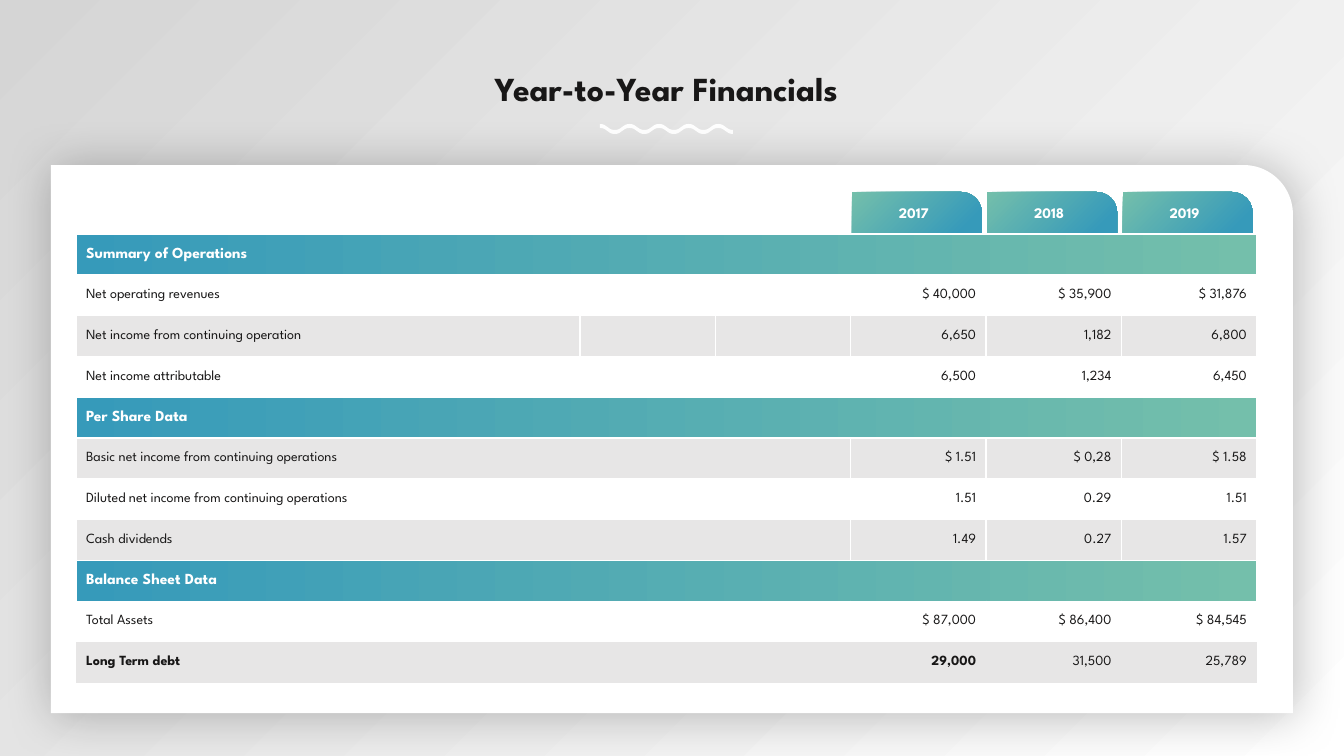
from lxml.etree import SubElement
from pptx import Presentation
from pptx.dml.color import RGBColor
from pptx.enum.shapes import MSO_SHAPE as SHAPE
from pptx.enum.text import MSO_ANCHOR as ANCHOR, PP_ALIGN as ALIGN
from pptx.oxml import parse_xml
from pptx.oxml.ns import nsdecls, qn
from pptx.util import Pt

TITLE = "Year-to-Year Financials"
YEARS = ["2017", "2018", "2019"]
SECTIONS = [
    ("Summary of Operations", [
        ("Net operating revenues", "$ 40,000", "$ 35,900", "$ 31,876"),
        ("Net income from continuing operation", "6,650", "1,182", "6,800"),
        ("Net income attributable", "6,500", "1,234", "6,450"),
    ]),
    ("Per Share Data", [
        ("Basic net income from continuing operations", "$ 1.51", "$ 0,28", "$ 1.58"),
        ("Diluted net income from continuing operations", "1.51", "0.29", "1.51"),
        ("Cash dividends", "1.49", "0.27", "1.57"),
    ]),
    ("Balance Sheet Data", [
        ("Total Assets", "$ 87,000", "$ 86,400", "$ 84,545"),
        ("Long Term debt", "29,000", "31,500", "25,789"),
    ]),
]
UNMERGED_LABEL = "Net income from continuing operation"
BOLD_CELLS = {"Long Term debt", "29,000"}

COLORS = {"ink": "181717", "white": "FFFFFF", "band": "E7E6E6", "blue": "369ABA",
          "green": "74BFAB", "backdrop": "D5D5D5", "shadow": "000000"}
FONT = "League Spartan"
SLIDE_W, SLIDE_H = 1344, 756
PX = 12192000 / SLIDE_W
TABLE_X, TABLE_Y, TABLE_W, TABLE_H = 76, 234, 1181, 449
COLUMNS = 6
LABEL_W = 504
YEAR_W = (TABLE_W - LABEL_W) / (COLUMNS - 1)
FIRST_YEAR = COLUMNS - len(YEARS)
TAB_W, TAB_H = 130, 41


def px(*lengths):
    return [round(length * PX) for length in lengths]


def rgb(name):
    return RGBColor.from_string(COLORS[name])


def paint(fill, color):
    fill.solid()
    fill.fore_color.rgb = rgb(color)


def blend(fill, start, end, angle=0, end_position=1):
    fill.gradient()
    fill.gradient_angle = angle
    for stop, color, position in zip(fill.gradient_stops, (start, end), (0, end_position)):
        stop.color.rgb = rgb(color)
        stop.position = position


def write(frame, text, size, color="ink", bold=False, align=ALIGN.LEFT):
    frame.text = text
    line = frame.paragraphs[0]
    line.alignment = align
    for run in line.runs:
        run.font.name = FONT
        run.font.size = Pt(size)
        run.font.bold = bold
        run.font.color.rgb = rgb(color)


def add_card(slide, box, corner):
    card = slide.shapes.add_shape(SHAPE.ROUND_1_RECTANGLE, *px(*box))
    card.adjustments[0] = corner
    card.line.fill.background()
    card.shadow.inherit = False
    return card


def add_soft_shadow(shape):
    effects = shape.element.spPr.find(qn("a:effectLst"))
    effects.append(parse_xml(
        f'<a:outerShdw {nsdecls("a")} blurRad="{Pt(35)}" dist="{Pt(3)}" dir="2700000" '
        f'algn="tl" rotWithShape="0"><a:srgbClr val="{COLORS["shadow"]}">'
        '<a:alpha val="25000"/></a:srgbClr></a:outerShdw>'))


def bend_lines(shape):
    """Turn each straight segment into a curve that is level at both ends."""
    x, y = (int(shape.element.find(f".//{qn('a:moveTo')}/{qn('a:pt')}").get(k)) for k in "xy")
    for segment in list(shape.element.iter(qn("a:lnTo"))):
        end = segment.find(qn("a:pt"))
        end_x, end_y = int(end.get("x")), int(end.get("y"))
        middle = (x + end_x) // 2
        curve = parse_xml(f'<a:cubicBezTo {nsdecls("a")}/>')
        for point_x, point_y in ((middle, y), (middle, end_y), (end_x, end_y)):
            SubElement(curve, qn("a:pt"), x=str(point_x), y=str(point_y))
        segment.getparent().replace(segment, curve)
        x, y = end_x, end_y


def add_wave(slide, left=600, top=124, width=133, swing=6, thickness=4, half_waves=9):
    crest = [(left + width * i / half_waves, top + swing * (i % 2))
             for i in range(half_waves + 1)]
    trough = [(x, y + thickness) for x, y in reversed(crest)]
    outline = [px(*point) for point in crest + trough]
    builder = slide.shapes.build_freeform(*outline[0])
    builder.add_line_segments(outline[1:], close=True)
    wave = builder.convert_to_shape()
    bend_lines(wave)
    paint(wave.fill, "white")
    wave.line.fill.background()
    wave.shadow.inherit = False


def set_borders(cell, visible):
    """Borders come before the fill in the cell properties."""
    properties = cell._tc.get_or_add_tcPr()
    for index, side in enumerate(("lnL", "lnR", "lnT", "lnB")):
        border = SubElement(properties, qn(f"a:{side}"), w=str(Pt(1)))
        if visible:
            solid = SubElement(border, qn("a:solidFill"))
            SubElement(solid, qn("a:srgbClr"), val=COLORS["white"])
        else:
            SubElement(border, qn("a:noFill"))
        properties.insert(index, border)


def add_financials(slide):
    rows = []
    for heading, entries in SECTIONS:
        rows.append((heading,))
        rows.extend(entries)
    frame = slide.shapes.add_table(len(rows), COLUMNS, *px(TABLE_X, TABLE_Y, TABLE_W, TABLE_H))
    table = frame.table
    table.first_row = table.horz_banding = False
    for index, column in enumerate(table.columns):
        column.width = px(YEAR_W if index else LABEL_W)[0]

    entry_fill = "band"
    for r, (label, *amounts) in enumerate(rows):
        if amounts:
            entry_fill = "white" if entry_fill == "band" else "band"
        for c in range(COLUMNS):
            cell = table.cell(r, c)
            cell.vertical_anchor = ANCHOR.MIDDLE
            cell.margin_top = cell.margin_bottom = 0
            if amounts:
                paint(cell.fill, entry_fill)
            else:
                blend(cell.fill, "blue", "green")
            set_borders(cell, visible=r < len(rows) - 1)
        if not amounts:
            write(table.cell(r, 0).text_frame, label, 11, "white", True)
            table.cell(r, 0).merge(table.cell(r, COLUMNS - 1))
            continue
        write(table.cell(r, 0).text_frame, label, 10, bold=label in BOLD_CELLS)
        if label != UNMERGED_LABEL:
            table.cell(r, 0).merge(table.cell(r, FIRST_YEAR - 1))
        for c, amount in enumerate(amounts, FIRST_YEAR):
            write(table.cell(r, c).text_frame, amount, 10,
                  bold=amount in BOLD_CELLS, align=ALIGN.RIGHT)


def main():
    deck = Presentation()
    deck.slide_width, deck.slide_height = px(SLIDE_W, SLIDE_H)
    slide = deck.slides.add_slide(deck.slide_layouts[6])
    blend(slide.background.fill, "backdrop", "white", 315)

    title = slide.shapes.add_textbox(*px(93, 65, 1147, 46)).text_frame
    title.word_wrap = True
    title.margin_left = title.margin_right = title.margin_top = title.margin_bottom = px(3)[0]
    write(title, TITLE, 24, bold=True, align=ALIGN.CENTER)
    add_wave(slide)

    panel = add_card(slide, (51, 165, 1242, 548), 0.09)
    paint(panel.fill, "white")
    add_soft_shadow(panel)

    first_tab = TABLE_X + LABEL_W + YEAR_W * (FIRST_YEAR - 1) + 1
    for index, year in enumerate(YEARS):
        box = (first_tab + index * YEAR_W, TABLE_Y - TAB_H - 1, TAB_W, TAB_H)
        tab = add_card(slide, box, 0.5)
        blend(tab.fill, "green", "blue", 315, 0.88)
        tab.text_frame.vertical_anchor = ANCHOR.MIDDLE
        write(tab.text_frame, year, 10.5, "white", True, ALIGN.CENTER)

    add_financials(slide)
    deck.save("out.pptx")


if __name__ == "__main__":
    main()
